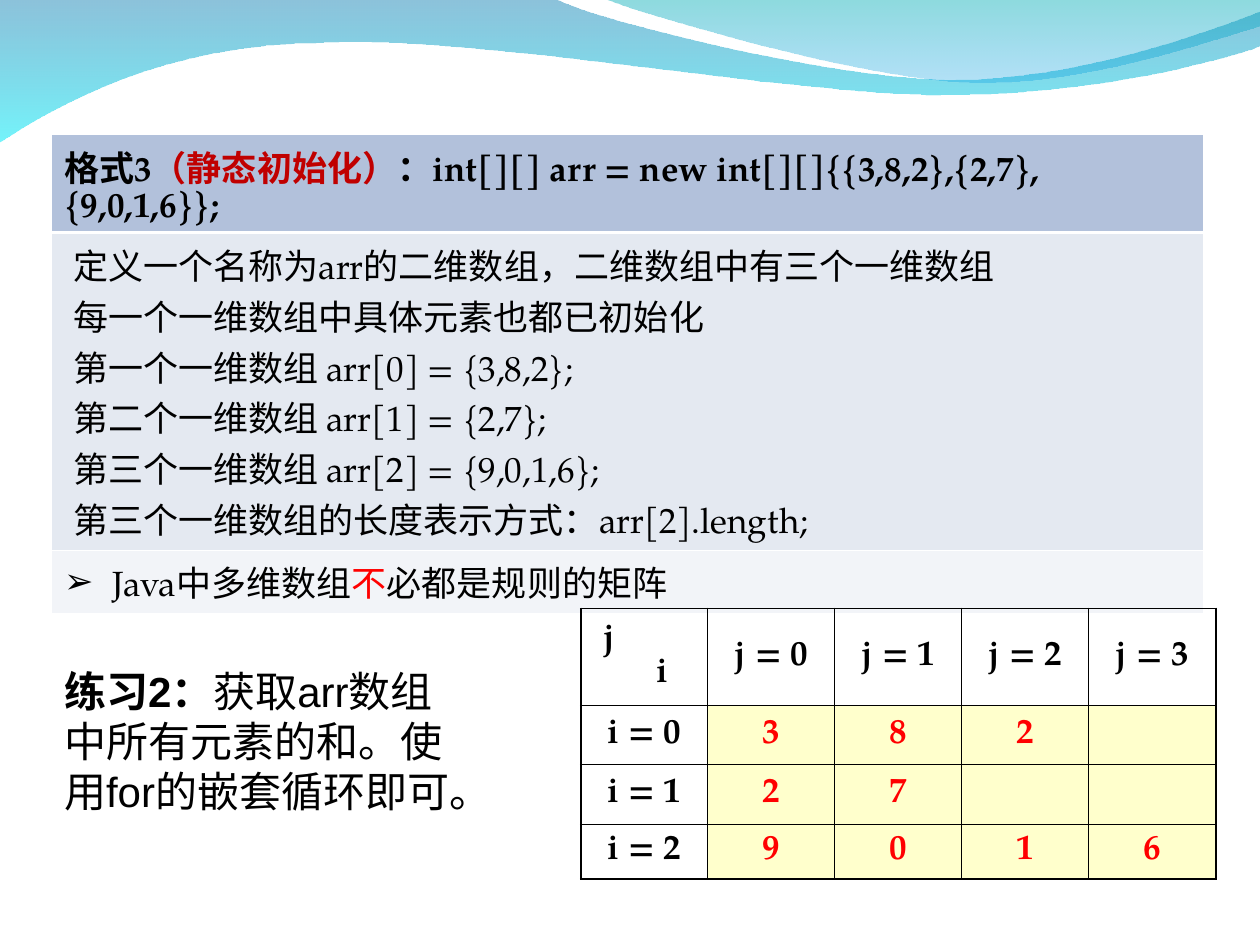
from lxml import etree
from pptx import Presentation
from pptx.dml.color import RGBColor
from pptx.enum.text import MSO_ANCHOR, PP_ALIGN
from pptx.oxml import parse_xml
from pptx.oxml.ns import nsdecls, qn
from pptx.util import Inches, Pt

CENTER, LEFT = PP_ALIGN.CENTER, PP_ALIGN.LEFT
MIDDLE = MSO_ANCHOR.MIDDLE
SERIF, SANS = "TeX Gyre Pagella", "Arial"
BLACK, RED, DARK_RED, WHITE = "000000", "FF0000", "C00000", "FFFFFF"
THIN, MEDIUM, THICK = 0.45, 1.08, 1.47


def rgb(value):
    return RGBColor.from_string(value)


def add_runs(p, runs, size=20, font=SERIF):
    """Add (text, colour, bold) runs to a paragraph."""
    for text, color, bold in runs:
        r = p.add_run()
        r.text = text
        r.font.size, r.font.name, r.font.bold = Pt(size), font, bold
        r.font.color.rgb = rgb(color)


def indent(p, left, first=0):
    pPr = p._p.get_or_add_pPr()
    pPr.set("marL", str(Inches(left)))
    pPr.set("indent", str(Inches(first)))
    return pPr


def set_bullet(p, char, color):
    pPr = indent(p, 0.38, -0.38)
    clr = etree.SubElement(pPr, qn("a:buClr"))
    etree.SubElement(clr, qn("a:srgbClr"), val=color)
    etree.SubElement(pPr, qn("a:buFont"), typeface=SANS)
    etree.SubElement(pPr, qn("a:buChar"), char=char)


def set_borders(cell, color, widths):
    """Line the left, right, top and bottom edges, in that order."""
    tcPr = cell._tc.get_or_add_tcPr()
    for side, width in zip("LRTB", widths):
        ln = etree.SubElement(tcPr, qn(f"a:ln{side}"), w=str(Pt(width)))
        fill = etree.SubElement(ln, qn("a:solidFill"))
        etree.SubElement(fill, qn("a:srgbClr"), val=color)


def set_fill(cell, color):
    if color:
        cell.fill.solid()
        cell.fill.fore_color.rgb = rgb(color)
    else:
        cell.fill.background()


def add_grid(slide, box, row_heights, columns):
    x, y, w = box
    frame = slide.shapes.add_table(
        len(row_heights), columns, Inches(x), Inches(y), Inches(w),
        Inches(sum(row_heights)))
    table = frame.table
    table.first_row = table.horz_banding = False
    for row, height in zip(table.rows, row_heights):
        row.height = Inches(height)
    return table


def add_wave(slide, box, start, segments, stops):
    """Draw an outline of lines (1 point) and curves (3 points) in a box."""
    x, y, w, h = map(Inches, box)
    builder = slide.shapes.build_freeform(x, y)
    builder.add_line_segments([(x + w, y), (x + w, y + h), (x, y + h)])
    sp = builder.convert_to_shape()
    sp.shadow.inherit = False
    sp.line.fill.background()

    outline = next(sp._element.iter(qn("a:path")))
    for child in list(outline):
        outline.remove(child)
    for i, points in enumerate([[start]] + segments):
        tag = "cubicBezTo" if len(points) == 3 else "lnTo" if i else "moveTo"
        step = etree.SubElement(outline, qn(f"a:{tag}"))
        for px, py in points:
            etree.SubElement(step, qn("a:pt"), x=str(Inches(px) - x),
                             y=str(Inches(py) - y))
    etree.SubElement(outline, qn("a:close"))

    gs = "".join(
        f'<a:gs pos="{pos * 1000}"><a:srgbClr val="{color}">'
        f'<a:alpha val="{alpha * 1000}"/></a:srgbClr></a:gs>'
        for pos, color, alpha in stops)
    sp._element.spPr.find(qn("a:custGeom")).addnext(parse_xml(
        f'<a:gradFill {nsdecls("a")} rotWithShape="1"><a:gsLst>{gs}</a:gsLst>'
        '<a:lin ang="5400000" scaled="0"/></a:gradFill>'))


def add_waves(slide):
    add_wave(slide, (-0.01, -0.01, 10.02, 1.14), (0, -0.01), [
        [(4.4, -0.01)],
        [(4.76, 0.17), (6.64, 0.63), (7.58, 0.63)],
        [(8.53, 0.63), (9.58, 0.26), (10, 0.09)],
        [(10.01, 0.36)],
        [(9.83, 0.44), (8.7, 0.76), (7.46, 0.75)],
        [(6.22, 0.75), (3.82, 0.28), (2.57, 0.34)],
        [(1.29, 0.35), (0.46, 0.83), (-0.01, 1.13)],
        [(0, -0.01)],
    ], [(0, "0079AF", 45), (100, "00EBF8", 55)])
    add_wave(slide, (4.79, -0.01, 5.21, 0.7), (4.79, -0.01), [
        [(5.09, 0.11), (6.82, 0.62), (7.69, 0.65)],
        [(8.56, 0.69), (9.61, 0.32), (10, 0.21)],
        [(10, 0)],
        [(4.79, -0.01)],
    ], [(0, "00ADB6", 45), (100, "009BE5", 30)])


def add_format_table(slide, box):
    table = add_grid(slide, box, [0.77, 2.1, 0.44], 1)
    fills = ["B2C1DB", "E4E9F1", "F2F4F8"]
    edges = [(THIN, THICK), (THICK, THIN), (THIN, THIN)]
    head, body, note = [row.cells[0] for row in table.rows]
    for cell, fill, edge in zip((head, body, note), fills, edges):
        set_borders(cell, WHITE, (THIN, THIN) + edge)
        set_fill(cell, fill)

    add_runs(head.text_frame.paragraphs[0], [
        ("格式3", BLACK, True), ("（静态初始化）", DARK_RED, True),
        ("：int[][] arr = new int[][]{{3,8,2},{2,7},{9,0,1,6}};",
         BLACK, True)])

    lines = ["定义一个名称为arr的二维数组，二维数组中有三个一维数组",
             "每一个一维数组中具体元素也都已初始化",
             "第一个一维数组 arr[0] = {3,8,2};",
             "第二个一维数组 arr[1] = {2,7};",
             "第三个一维数组 arr[2] = {9,0,1,6};",
             "第三个一维数组的长度表示方式：arr[2].length;"]
    tf = body.text_frame
    for i, line in enumerate(lines):
        p = tf.add_paragraph() if i else tf.paragraphs[0]
        indent(p, 0.07)
        add_runs(p, [(line, BLACK, False)])

    p = note.text_frame.paragraphs[0]
    set_bullet(p, "➢", BLACK)
    add_runs(p, [("Java中多维数组", BLACK, False), ("不", RED, False),
                 ("必都是规则的矩阵", BLACK, False)])


def add_corner(cell):
    """Put the column label above and the row label below, stepped right."""
    tf = cell.text_frame
    for p, text, left in ((tf.paragraphs[0], "j", 0.08),
                          (tf.add_paragraph(), "i", 0.5)):
        p.alignment = LEFT
        indent(p, left)
        add_runs(p, [(text, BLACK, True)])


def add_matrix_table(slide, box):
    values = [[3, 8, 2], [2, 7], [9, 0, 1, 6]]
    width = max(len(row) for row in values)
    rows = [[""] + [f"j = {j}" for j in range(width)]]
    rows += [[f"i = {i}"] + row + [""] * (width - len(row))
             for i, row in enumerate(values)]
    table = add_grid(slide, box, [0.77, 0.47, 0.47, 0.44], width + 1)
    last = len(rows) - 1
    for i, row in enumerate(rows):
        for j, value in enumerate(row):
            cell = table.cell(i, j)
            outer = (j == 0, j == width, i == 0, i == last)
            set_borders(cell, BLACK, [MEDIUM if o else THIN for o in outer])
            inside = i > 0 and j > 0
            set_fill(cell, "FFFFCC" if inside else None)
            cell.vertical_anchor = MIDDLE
            p = cell.text_frame.paragraphs[0]
            p.alignment = CENTER
            if value != "":
                add_runs(p, [(str(value), RED if inside else BLACK, True)])
    add_corner(table.cell(0, 0))


def add_exercise(slide, box):
    tf = slide.shapes.add_textbox(*map(Inches, box)).text_frame
    tf.word_wrap = True
    add_runs(tf.paragraphs[0], [
        ("练习2：", BLACK, True),
        ("获取arr数组中所有元素的和。使用for的嵌套循环即可。", BLACK, False),
    ], 24, SANS)


def main():
    prs = Presentation()
    prs.slide_width, prs.slide_height = Inches(10), Inches(7.5)
    slide = prs.slides.add_slide(prs.slide_layouts[6])
    add_waves(slide)
    add_format_table(slide, (0.41, 1.07, 9.14))
    add_matrix_table(slide, (4.61, 4.83, 5.04))
    add_exercise(slide, (0.41, 5.23, 3.39, 1.7))
    prs.save("out.pptx")


if __name__ == "__main__":
    main()
